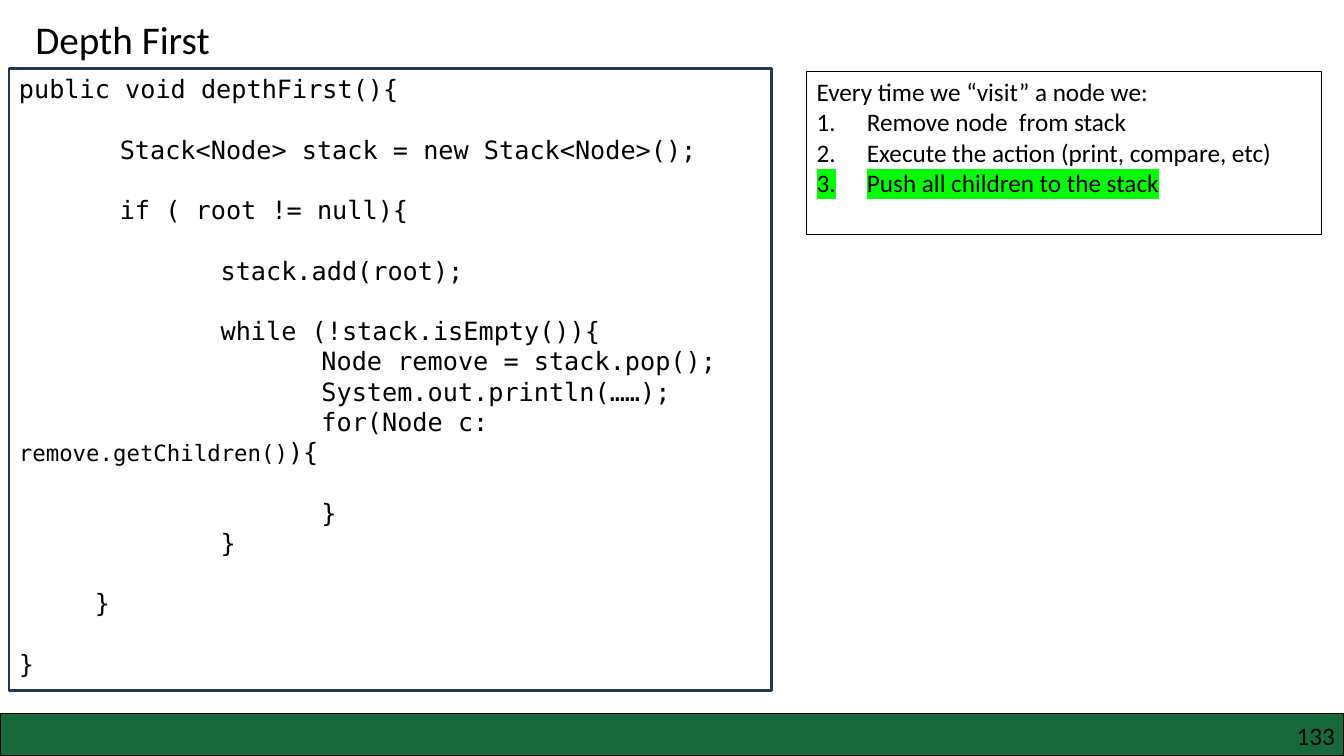
from dataclasses import dataclass

from lxml import etree
from pptx import Presentation
from pptx.dml.color import RGBColor
from pptx.enum import shapes, text
from pptx.oxml.ns import qn
from pptx.util import Inches, Pt


@dataclass(frozen=True)
class Theme:
    sans: str = "Calibri"
    mono: str = "DejaVu Sans Mono"
    ink: str = "000000"
    footer: str = "15693B"
    code_border: str = "233953"
    highlight: str = "00FF00"
    title_size: float = 28
    body_size: float = 18
    small_size: float = 16
    code_pitch: float = 21.6


@dataclass(frozen=True)
class Panel:
    left: float
    top: float
    width: float
    height: float
    border: str
    border_width: float
    fill: str | None = None


@dataclass(frozen=True)
class Step:
    wording: str
    highlighted: bool = False


THEME = Theme()
FOOTER = Panel(0, 7.08, 13.33, 0.42, THEME.ink, 1, THEME.footer)
CODE_PANEL = Panel(0.09, 0.68, 7.56, 6.17, THEME.code_border, 2)
STEPS_PANEL = Panel(8, 0.71, 5.11, 1.62, THEME.ink, 0.75)

SMALL_CODE = "remove.getChildren()"
CODE = """public void depthFirst(){

\tStack<Node> stack = new Stack<Node>();

\tif ( root != null){

\t\tstack.add(root);

\t\twhile (!stack.isEmpty()){
\t\t\tNode remove = stack.pop();
\t\t\tSystem.out.println(……);
\t\t\tfor(Node c: remove.getChildren()){

\t\t\t}
\t\t}

     }

}"""
STEPS = (
    Step("Remove node  from stack"),
    Step("Execute the action (print, compare, etc)"),
    Step("Push all children to the stack", highlighted=True),
)


def style(para, font: str = THEME.sans, size: float = THEME.body_size) -> None:
    para.font.name = font
    para.font.size = Pt(size)
    para.font.color.rgb = RGBColor.from_string(THEME.ink)


def add_panel(page, panel: Panel):
    box = page.shapes.add_shape(
        shapes.MSO_SHAPE.RECTANGLE, Inches(panel.left), Inches(panel.top),
        Inches(panel.width), Inches(panel.height))
    box.shadow.inherit = False
    if panel.fill:
        box.fill.solid()
        box.fill.fore_color.rgb = RGBColor.from_string(panel.fill)
    else:
        box.fill.background()
    box.line.color.rgb = RGBColor.from_string(panel.border)
    box.line.width = Pt(panel.border_width)
    box.text_frame.word_wrap = True
    box.text_frame.vertical_anchor = text.MSO_ANCHOR.TOP
    return box


def next_paragraph(frame, first: bool):
    para = frame.paragraphs[0] if first else frame.add_paragraph()
    para.alignment = text.PP_ALIGN.LEFT
    return para


def add_title(page, wording: str) -> None:
    title = page.shapes.title
    title.left, title.top = Inches(0.25), Inches(0.1)
    title.width, title.height = Inches(2.13), Inches(0.57)
    frame = title.text_frame
    frame.text = wording
    frame.word_wrap = True
    frame.auto_size = text.MSO_AUTO_SIZE.NONE
    frame.vertical_anchor = text.MSO_ANCHOR.TOP
    para = next_paragraph(frame, first=True)
    style(para, size=THEME.title_size)


def add_tab_stops(para, count: int = 3) -> None:
    """Put left tab stops one inch apart."""
    stops = etree.SubElement(para._p.get_or_add_pPr(), qn("a:tabLst"))
    for inch in range(1, count + 1):
        etree.SubElement(stops, qn("a:tab"), pos=str(Inches(inch)), algn="l")


def add_code(page, code: str) -> None:
    """Write the listing, turning each empty line into space before the next."""
    frame = add_panel(page, CODE_PANEL).text_frame
    gap = 0
    for number, line in enumerate(code.split("\n")):
        if not line:
            gap += THEME.code_pitch
            continue
        para = next_paragraph(frame, first=number == 0)
        para.line_spacing = Pt(THEME.code_pitch)
        if gap:
            para.space_before = Pt(gap)
        gap = 0
        add_tab_stops(para)
        style(para, THEME.mono)
        before, small, after = line.partition(SMALL_CODE)
        for part in filter(None, (before, small, after)):
            span = para.add_run()
            span.text = part
            if part == SMALL_CODE:
                span.font.size = Pt(THEME.small_size)


def number_paragraph(para) -> None:
    properties = para._p.get_or_add_pPr()
    properties.set("marL", str(Inches(0.5)))
    properties.set("indent", str(-Inches(0.5)))
    etree.SubElement(properties, qn("a:buAutoNum"), type="arabicPeriod")


def highlight(span, color: str) -> None:
    mark = etree.SubElement(span.font._element, qn("a:highlight"))
    etree.SubElement(mark, qn("a:srgbClr"), val=color)


def add_steps(page, heading: str, steps: tuple[Step, ...]) -> None:
    frame = add_panel(page, STEPS_PANEL).text_frame
    intro = next_paragraph(frame, first=True)
    intro.add_run().text = heading
    style(intro)
    for step in steps:
        para = next_paragraph(frame, first=False)
        number_paragraph(para)
        style(para)
        span = para.add_run()
        span.text = step.wording
        if step.highlighted:
            highlight(span, THEME.highlight)


def add_page_number(page, number: str) -> None:
    box = page.shapes.add_textbox(
        Inches(10.17), Inches(7.15), Inches(3.07), Inches(0.3))
    frame = box.text_frame
    frame.word_wrap = True
    frame.margin_left = frame.margin_right = 0
    frame.margin_top = frame.margin_bottom = 0
    frame.text = number
    para = frame.paragraphs[0]
    para.alignment = text.PP_ALIGN.RIGHT
    style(para)


def main() -> None:
    deck = Presentation()
    deck.slide_width, deck.slide_height = Inches(13.33), Inches(7.5)
    page = deck.slides.add_slide(deck.slide_layouts.get_by_name("Title Only"))
    add_panel(page, FOOTER)
    add_page_number(page, "133")
    add_title(page, "Depth First")
    add_code(page, CODE)
    add_steps(page, "Every time we “visit” a node we:", STEPS)
    deck.save("out.pptx")


if __name__ == "__main__":
    main()
